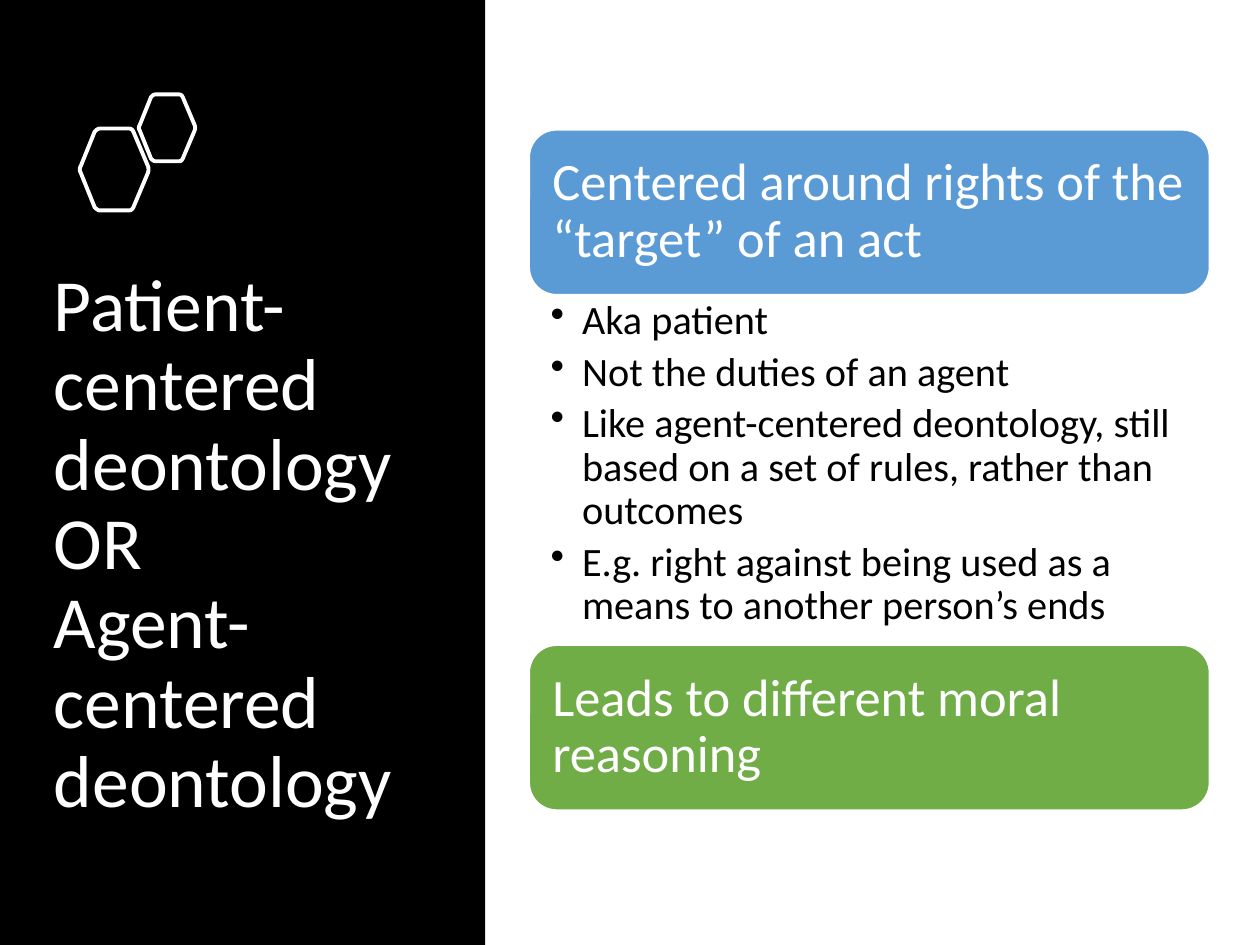
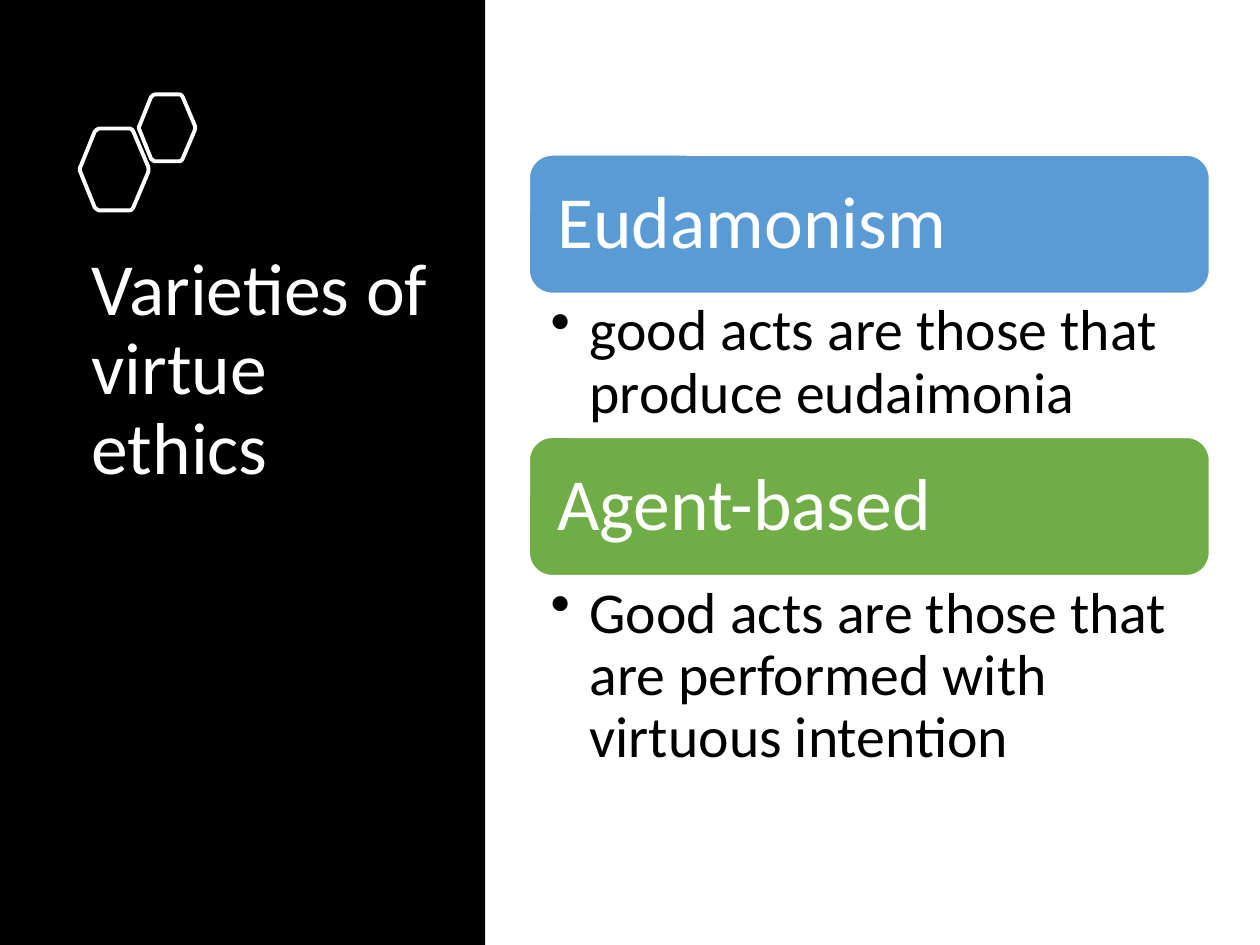
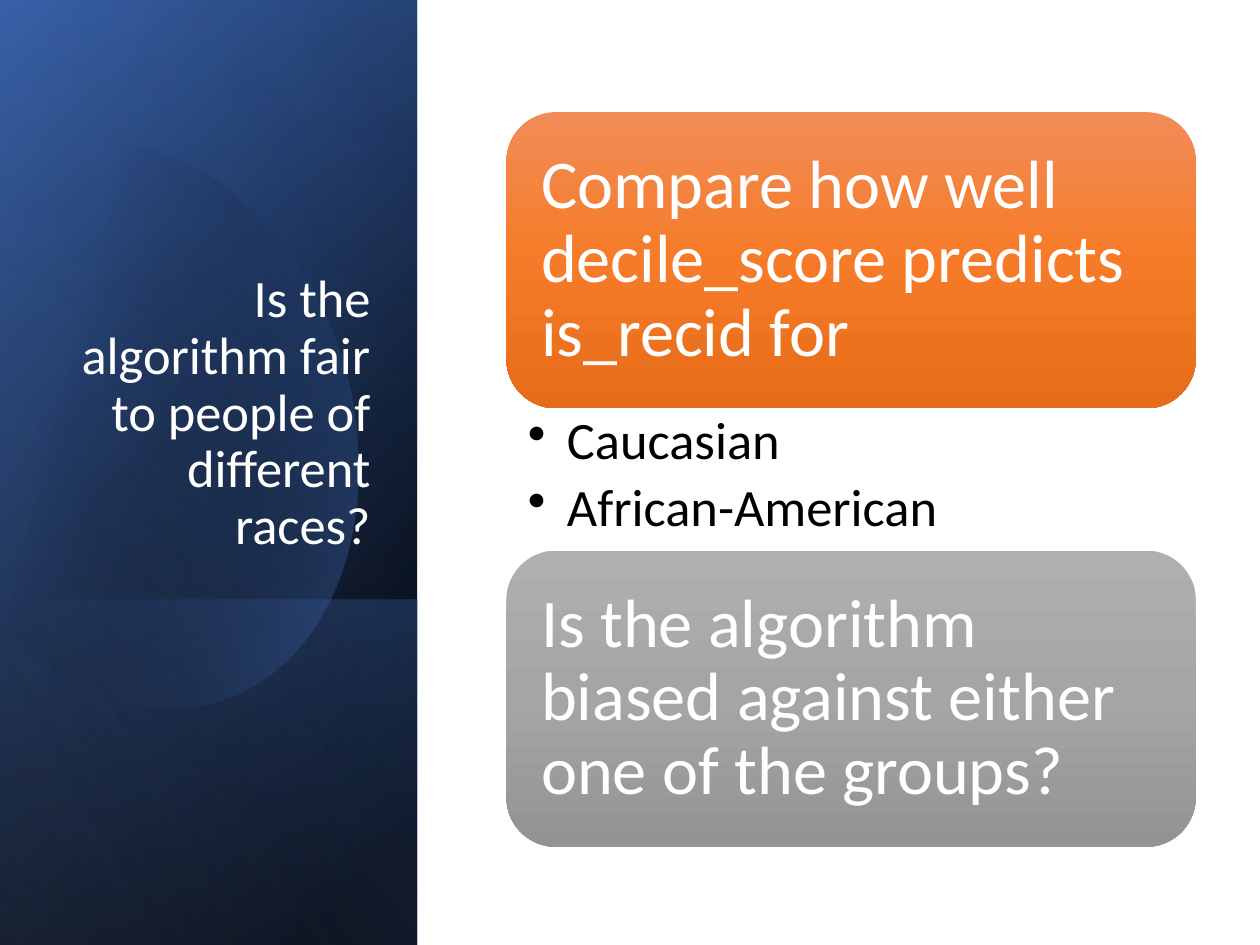
from dataclasses import dataclass

import lxml.etree
import pptx
import pptx.dml.color
import pptx.enum.shapes
import pptx.enum.text
import pptx.oxml.ns
import pptx.shapes.autoshape
import pptx.slide
import pptx.text.text
import pptx.util

RGBColor = pptx.dml.color.RGBColor
MSO_SHAPE = pptx.enum.shapes.MSO_SHAPE
PP_ALIGN = pptx.enum.text.PP_ALIGN
MSO_ANCHOR = pptx.enum.text.MSO_ANCHOR
qn = pptx.oxml.ns.qn

PX = 9144
FONT = "Calibri"
LINE_SPACING = 0.9
BULLET_GAP = 0.2

BLACK = RGBColor(0x00, 0x00, 0x00)
WHITE = RGBColor(0xFF, 0xFF, 0xFF)
BLUE = RGBColor(0x5B, 0x9B, 0xD5)
GREEN = RGBColor(0x70, 0xAD, 0x47)
ROYAL = RGBColor(0x44, 0x72, 0xC4)
NAVY = RGBColor(0x2F, 0x55, 0x97)
PALE_BLUE = RGBColor(0x8F, 0xAA, 0xDC)

Point = tuple[float, float]
Curve = tuple[Point, Point, Point, Point]


@dataclass(frozen=True)
class Box:
    x: int
    y: int
    w: int
    h: int


@dataclass(frozen=True)
class Stop:
    pos: int
    color: RGBColor
    alpha: int = 100


@dataclass(frozen=True)
class Gradient:
    angle: int
    stops: tuple[Stop, ...]


Paint = RGBColor | Gradient


@dataclass(frozen=True)
class Title:
    box: Box
    lines: tuple[str, ...]
    size: int
    anchor: MSO_ANCHOR = MSO_ANCHOR.TOP
    align: PP_ALIGN = PP_ALIGN.LEFT


@dataclass(frozen=True)
class Card:
    y: int
    text: str
    paint: Paint
    bullets: tuple[str, ...] = ()


@dataclass(frozen=True)
class CardStyle:
    x: int
    w: int
    h: int
    inset: int
    size: int
    bullet_size: int
    bullet_indent: int
    bullet_insets: tuple[int, int, int, int]
    outlined: bool = True


@dataclass(frozen=True)
class Overlay:
    box: Box
    paint: Gradient


ORANGE_FADE = Gradient(90, (
    Stop(0, RGBColor(0xF1, 0x8C, 0x57)),
    Stop(50, RGBColor(0xF6, 0x7B, 0x28)),
    Stop(100, RGBColor(0xE5, 0x6C, 0x19)),
))
GRAY_FADE = Gradient(90, (
    Stop(0, RGBColor(0xAF, 0xAF, 0xAF)),
    Stop(50, RGBColor(0xA5, 0xA5, 0xA5)),
    Stop(100, RGBColor(0x93, 0x93, 0x93)),
))

BLACK_PANEL = Box(0, 0, 385, 750)
BLUE_PANEL = Box(0, 0, 331, 750)
OVERLAYS = (
    Overlay(BLUE_PANEL, Gradient(50, (Stop(8, BLACK), Stop(100, NAVY)))),
    Overlay(BLUE_PANEL, Gradient(30, (Stop(0, BLACK, 0), Stop(99, ROYAL, 46)))),
    Overlay(Box(0, 476, 331, 274),
            Gradient(130, (Stop(2, ROYAL, 29), Stop(100, BLACK, 30)))),
)
SHEEN = Overlay(BLUE_PANEL, Gradient(120, (Stop(0, BLACK, 0), Stop(99, PALE_BLUE, 11))))

GLOW_FADE = Gradient(14, (Stop(29, BLACK, 0), Stop(100, ROYAL, 43)))
GLOW: tuple[Curve, ...] = (
    ((96, 114), (171, 122), (244, 192), (273, 290)),
    ((273, 290), (307, 412), (262, 531), (171, 557)),
    ((171, 557), (114, 574), (53, 550), (7, 500)),
    ((-3, 488), (-3, 488), (-25, 166), (-25, 166)),
    ((-15, 154), (2, 137), (22, 125), (45, 118)),
    ((45, 118), (62, 113), (79, 112), (96, 114)),
)

HEXAGONS = (Box(63, 102, 55, 65), Box(110, 75, 45, 53))
HEXAGON_CORNERS: tuple[Curve, ...] = (
    ((0.29, 1), (0.27, 1), (0.24, 0.98), (0.22, 0.96)),
    ((0.02, 0.54), (0, 0.52), (0, 0.48), (0.02, 0.46)),
    ((0.22, 0.04), (0.24, 0.02), (0.27, 0), (0.29, 0)),
    ((0.72, 0), (0.75, 0), (0.77, 0.02), (0.78, 0.04)),
    ((0.99, 0.46), (1, 0.48), (1, 0.52), (0.99, 0.54)),
    ((0.78, 0.96), (0.77, 0.98), (0.75, 1), (0.72, 1)),
)


def px(n: float) -> int:
    return round(n * PX)


def apply_paint(sp: pptx.shapes.autoshape.Shape, paint: Paint | None) -> None:
    if paint is None:
        sp.fill.background()
    elif isinstance(paint, RGBColor):
        sp.fill.solid()
        sp.fill.fore_color.rgb = paint
    else:
        sp.fill.gradient()
        sp.fill.gradient_angle = -paint.angle % 360
        stops = next(sp._element.iter(qn("a:gsLst")))
        for old in list(stops):
            stops.remove(old)
        for stop in paint.stops:
            gs = lxml.etree.SubElement(stops, qn("a:gs"), pos=str(stop.pos * 1000))
            clr = lxml.etree.SubElement(gs, qn("a:srgbClr"), val=str(stop.color))
            if stop.alpha < 100:
                lxml.etree.SubElement(clr, qn("a:alpha"), val=str(stop.alpha * 1000))


def finish(sp: pptx.shapes.autoshape.Shape, paint: Paint | None,
           line_width: float = 0) -> None:
    sp.shadow.inherit = False
    apply_paint(sp, paint)
    if line_width:
        sp.line.color.rgb = WHITE
        sp.line.width = pptx.util.Pt(line_width)
    else:
        sp.line.fill.background()


def add_preset(s: pptx.slide.Slide, kind: MSO_SHAPE, box: Box, paint: Paint,
               line_width: float = 0) -> pptx.shapes.autoshape.Shape:
    sp = s.shapes.add_shape(kind, px(box.x), px(box.y), px(box.w), px(box.h))
    finish(sp, paint, line_width)
    return sp


def add_overlay(s: pptx.slide.Slide, overlay: Overlay) -> None:
    b = overlay.box
    sp = add_preset(s, MSO_SHAPE.RECTANGLE, b, overlay.paint)
    sp.left, sp.top = px(b.x + (b.w - b.h) / 2), px(b.y + (b.h - b.w) / 2)
    sp.width, sp.height = px(b.h), px(b.w)
    sp.rotation = 90
    next(sp._element.iter(qn("a:xfrm"))).set("flipH", "1")


def bezier(curve: Curve, steps: int) -> list[Point]:
    points = []
    for i in range(steps + 1):
        t = i / steps
        weights = ((1 - t) ** 3, 3 * t * (1 - t) ** 2, 3 * t * t * (1 - t), t ** 3)
        points.append((sum(w * p[0] for w, p in zip(weights, curve)),
                       sum(w * p[1] for w, p in zip(weights, curve))))
    return points


def add_outline(s: pptx.slide.Slide, curves: tuple[Curve, ...], frame: Box,
                steps: int, paint: Paint | None, line_width: float = 0) -> None:
    points = [(px(frame.x + x * frame.w), px(frame.y + y * frame.h))
              for curve in curves for x, y in bezier(curve, steps)]
    builder = s.shapes.build_freeform(*points[0])
    builder.add_line_segments(points[1:], close=True)
    finish(builder.convert_to_shape(), paint, line_width)


def set_frame(sp: pptx.shapes.autoshape.Shape, insets: tuple[int, int, int, int],
              anchor: MSO_ANCHOR) -> pptx.text.text.TextFrame:
    tf = sp.text_frame
    tf.word_wrap = True
    tf.vertical_anchor = anchor
    tf.margin_left, tf.margin_top, tf.margin_right, tf.margin_bottom = map(px, insets)
    return tf


def add_run(p: pptx.text.text._Paragraph, text: str, size: int, color: RGBColor) -> None:
    r = p.add_run()
    r.text = text
    r.font.name = FONT
    r.font.size = pptx.util.Pt(size)
    r.font.color.rgb = color


def add_textbox(s: pptx.slide.Slide, box: Box) -> pptx.shapes.autoshape.Shape:
    return s.shapes.add_textbox(px(box.x), px(box.y), px(box.w), px(box.h))


def add_title(s: pptx.slide.Slide, title: Title) -> None:
    tf = set_frame(add_textbox(s, title.box), (10, 5, 10, 5), title.anchor)
    p = tf.paragraphs[0]
    p.alignment = title.align
    p.line_spacing = LINE_SPACING
    for i, line in enumerate(title.lines):
        if i:
            p.add_line_break()
        add_run(p, line, title.size, WHITE)


def add_bullets(s: pptx.slide.Slide, box: Box, bullets: tuple[str, ...],
                style: CardStyle) -> None:
    tf = set_frame(add_textbox(s, box), style.bullet_insets, MSO_ANCHOR.TOP)
    for i, text in enumerate(bullets):
        p = tf.add_paragraph() if i else tf.paragraphs[0]
        p.line_spacing = LINE_SPACING
        p.space_after = pptx.util.Pt(style.bullet_size * BULLET_GAP)
        pPr = p._p.get_or_add_pPr()
        pPr.set("marL", str(px(style.bullet_indent)))
        pPr.set("indent", str(-px(style.bullet_indent)))
        lxml.etree.SubElement(pPr, qn("a:buChar"), char="•")
        add_run(p, text, style.bullet_size, BLACK)


def add_cards(s: pptx.slide.Slide, cards: tuple[Card, ...], style: CardStyle,
              bottom: int) -> None:
    ends = [card.y for card in cards[1:]] + [bottom]
    for card, end in zip(cards, ends):
        box = Box(style.x, card.y, style.w, style.h)
        sp = add_preset(s, MSO_SHAPE.ROUNDED_RECTANGLE, box, card.paint,
                        1 if style.outlined else 0)
        p = set_frame(sp, (style.inset,) * 4, MSO_ANCHOR.MIDDLE).paragraphs[0]
        p.alignment = PP_ALIGN.LEFT
        p.line_spacing = LINE_SPACING
        add_run(p, card.text, style.size, WHITE)
        if card.bullets:
            top = card.y + style.h
            add_bullets(s, Box(style.x, top, style.w, end - top), card.bullets, style)


def add_black_panel(s: pptx.slide.Slide) -> None:
    add_preset(s, MSO_SHAPE.RECTANGLE, BLACK_PANEL, BLACK)
    for box in HEXAGONS:
        add_outline(s, HEXAGON_CORNERS, box, 4, None, 2.25)


def add_blue_panel(s: pptx.slide.Slide) -> None:
    for overlay in OVERLAYS:
        add_overlay(s, overlay)
    add_outline(s, GLOW, Box(0, 0, 1, 1), 16, GLOW_FADE)
    add_overlay(s, SHEEN)


def main() -> None:
    prs = pptx.Presentation()
    prs.slide_width, prs.slide_height = px(1000), px(750)
    blank = prs.slide_layouts[6]

    s = prs.slides.add_slide(blank)
    add_black_panel(s)
    add_cards(s, (
        Card(103, "Centered around rights of the “target” of an act", BLUE, (
            "Aka patient",
            "Not the duties of an agent",
            "Like agent-centered deontology, still based on a set of rules, "
            "rather than outcomes",
            "E.g. right against being used as a means to another person’s ends",
        )),
        Card(512, "Leads to different moral reasoning", GREEN),
    ), CardStyle(420, 540, 131, 12, 30, 23, 25, (17, 4, 23, 4)), 643)
    add_title(s, Title(
        Box(33, 199, 294, 468),
        ("Patient-centered deontology", "OR", "Agent-centered", "deontology"),
        42, MSO_ANCHOR.MIDDLE))

    s = prs.slides.add_slide(blank)
    add_black_panel(s)
    add_title(s, Title(Box(63, 195, 294, 350), ("Varieties of virtue ethics",), 42))
    add_cards(s, (
        Card(123, "Eudamonism", BLUE,
             ("good acts are those that produce eudaimonia",)),
        Card(347, "Agent-based", GREEN,
             ("Good acts are those that are performed with virtuous intention",)),
    ), CardStyle(420, 540, 110, 17, 42, 33, 31, (17, 6, 33, 6)), 623)

    s = prs.slides.add_slide(blank)
    add_blue_panel(s)
    add_title(s, Title(
        Box(48, 184, 256, 262),
        ("Is the algorithm fair to people of different races?",),
        30, MSO_ANCHOR.BOTTOM, PP_ALIGN.RIGHT))
    add_cards(s, (
        Card(89, "Compare how well decile_score predicts is_recid for", ORANGE_FADE,
             ("Caucasian", "African-American")),
        Card(437, "Is the algorithm biased against either one of the groups?", GRAY_FADE),
    ), CardStyle(402, 547, 235, 16, 39, 30, 31, (17, 5, 30, 5), False), 672)

    prs.save("out.pptx")


if __name__ == "__main__":
    main()
